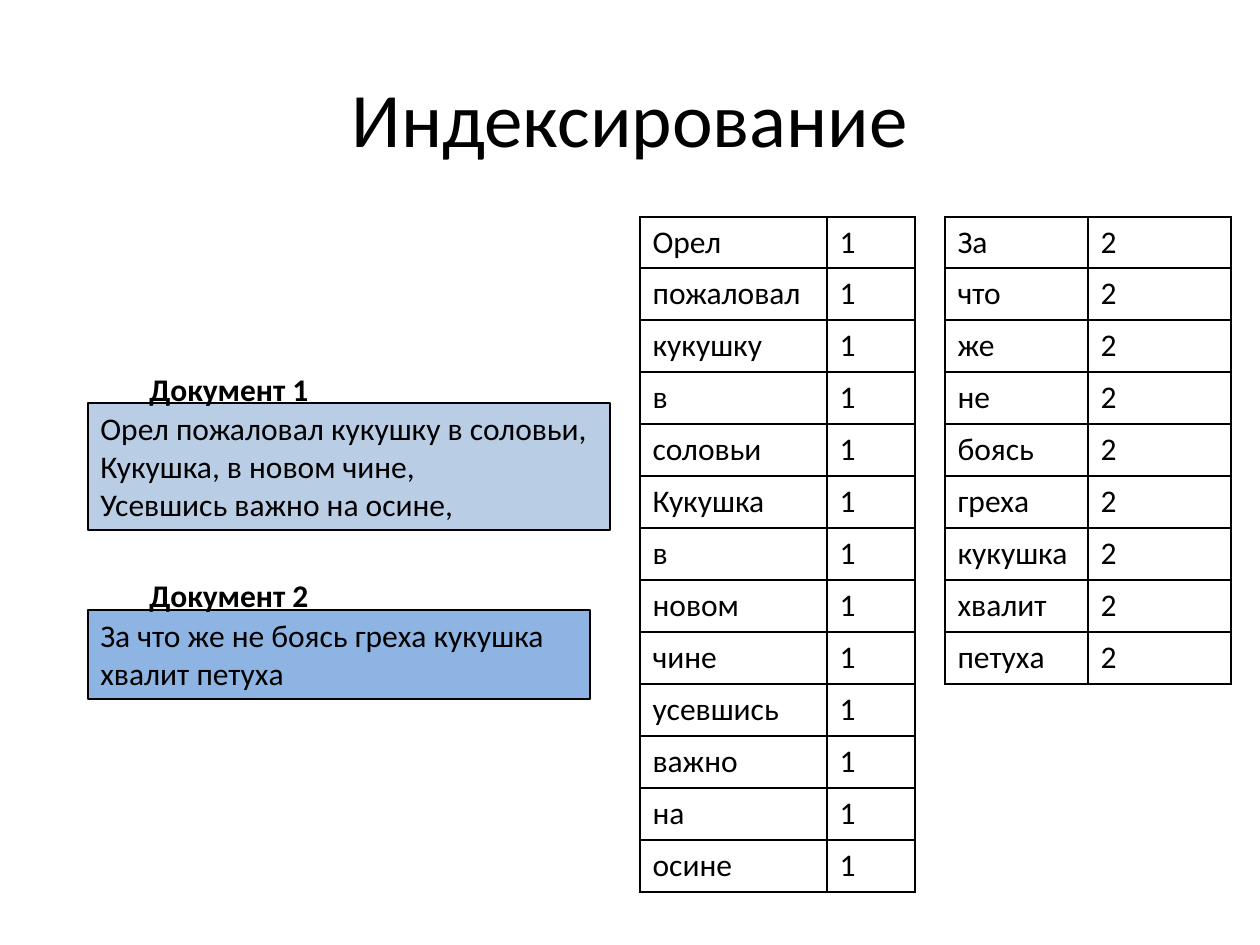
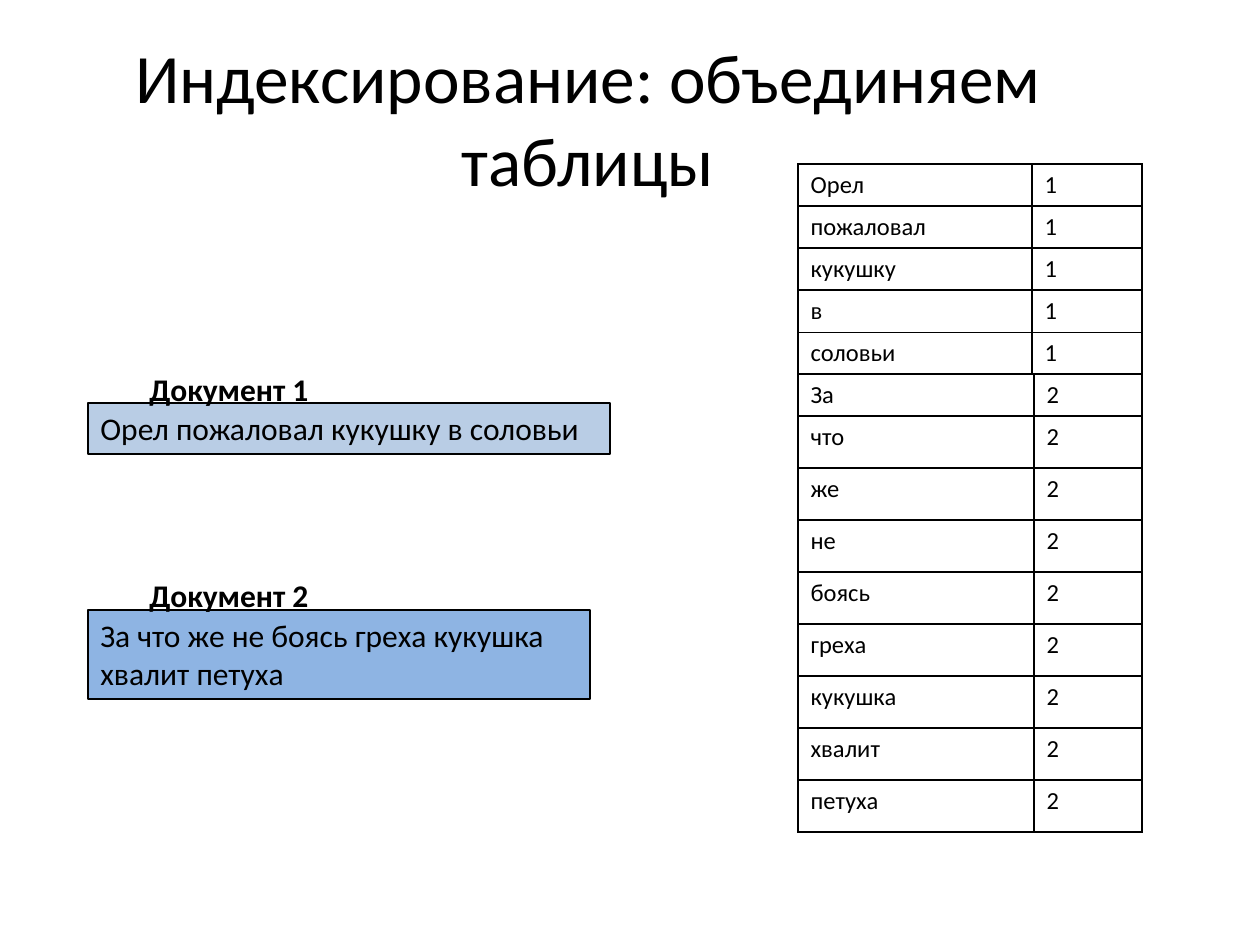
from dataclasses import dataclass
from typing import NamedTuple

from lxml.etree import SubElement
from pptx import Presentation
from pptx.dml.color import RGBColor
from pptx.enum.shapes import MSO_SHAPE
from pptx.enum.text import MSO_ANCHOR, MSO_AUTO_SIZE, PP_ALIGN
from pptx.oxml.ns import qn
from pptx.slide import Slide
from pptx.table import _Cell as Cell
from pptx.text.text import TextFrame
from pptx.util import Emu, Pt

PX_PER_INCH = 126
FONT = "Calibri"
BODY_SIZE = 18
BORDER_WIDTH = Pt(1)
COLORS = {
    "ink": "000000",
    "document_1": "B9CDE5",
    "document_2": "8EB4E3",
}


class Box(NamedTuple):
    left: int
    top: int
    width: int
    height: int


@dataclass(frozen=True)
class Document:
    label: str
    label_top: int
    excerpt: str
    box: Box
    color: str


@dataclass(frozen=True)
class IndexTable:
    """Words of one document, each listed beside the document number."""
    words: list[str]
    number: int
    left: int
    top: int
    columns: tuple[int, int]
    first_row: int
    row: int
    size: int = BODY_SIZE


@dataclass(frozen=True)
class IndexSlide:
    title: str
    title_width: int
    title_size: float
    tables: list[IndexTable]
    documents: list[Document]


EAGLE_WORDS = ["Орел", "пожаловал", "кукушку", "в", "соловьи"]
CUCKOO_WORDS = ["Кукушка", "в", "новом", "чине", "усевшись", "важно", "на", "осине"]
ROOSTER_WORDS = ["За", "что", "же", "не", "боясь", "греха", "кукушка", "хвалит", "петуха"]


def eagle_document(excerpt: str, height: int) -> Document:
    return Document("Документ 1", 364, excerpt, Box(88, 403, 522, height), "document_1")


ROOSTER_DOCUMENT = Document(
    "Документ 2", 570, "За что же не боясь греха кукушка хвалит петуха",
    Box(88, 610, 502, 89), "document_2",
)

SLIDES = [
    IndexSlide(
        "Индексирование", 1134, 44,
        [
            IndexTable(EAGLE_WORDS + CUCKOO_WORDS, 1, 640, 217, (187, 88), 51, 52),
            IndexTable(ROOSTER_WORDS, 2, 945, 217, (143, 143), 51, 52),
        ],
        [
            eagle_document(
                "Орел пожаловал кукушку в соловьи, Кукушка, в новом чине,\v"
                "Усевшись важно на осине,", 127),
            ROOSTER_DOCUMENT,
        ],
    ),
    IndexSlide(
        "Индексирование: объединяем таблицы", 1050, 39.6,
        [
            IndexTable(EAGLE_WORDS, 1, 798, 164, (234, 110), 42, 42, size=14),
            IndexTable(ROOSTER_WORDS, 2, 798, 374, (236, 108), 42, 52, size=14),
        ],
        [eagle_document("Орел пожаловал кукушку в соловьи", 51), ROOSTER_DOCUMENT],
    ),
]


def px(length: int) -> Emu:
    return Emu(round(length * 914400 / PX_PER_INCH))


def place(box: Box) -> list[Emu]:
    return [px(length) for length in box]


def rgb(name: str) -> RGBColor:
    return RGBColor.from_string(COLORS[name])


def write(frame: TextFrame, text: str, size: float = BODY_SIZE, bold: bool = False,
          align: PP_ALIGN = PP_ALIGN.LEFT) -> None:
    frame.text = text
    frame.word_wrap = True
    for paragraph in frame.paragraphs:
        paragraph.alignment = align
        for run in paragraph.runs:
            run.font.name = FONT
            run.font.size = Pt(size)
            run.font.bold = bold
            run.font.color.rgb = rgb("ink")


def add_title(slide: Slide, text: str, width: int, size: float) -> None:
    frame = slide.shapes.add_textbox(*place(Box(63, 38, width, 158))).text_frame
    write(frame, text, size, align=PP_ALIGN.CENTER)
    frame.vertical_anchor = MSO_ANCHOR.MIDDLE


def add_document(slide: Slide, document: Document) -> None:
    excerpt = slide.shapes.add_shape(MSO_SHAPE.RECTANGLE, *place(document.box))
    excerpt.shadow.inherit = False
    excerpt.fill.solid()
    excerpt.fill.fore_color.rgb = rgb(document.color)
    excerpt.line.color.rgb = rgb("ink")
    excerpt.line.width = Pt(0.75)
    write(excerpt.text_frame, document.excerpt)
    excerpt.text_frame.vertical_anchor = MSO_ANCHOR.TOP

    label = slide.shapes.add_textbox(*place(Box(137, document.label_top, 295, 51)))
    write(label.text_frame, document.label, bold=True)
    for frame in (excerpt.text_frame, label.text_frame):
        frame.auto_size = MSO_AUTO_SIZE.SHAPE_TO_FIT_TEXT


def outline(cell: Cell) -> None:
    """Draw all four borders of a cell and leave it without a fill."""
    properties = cell._tc.get_or_add_tcPr()
    for side in ("a:lnL", "a:lnR", "a:lnT", "a:lnB"):
        border = SubElement(properties, qn(side), w=str(BORDER_WIDTH))
        fill = SubElement(border, qn("a:solidFill"))
        SubElement(fill, qn("a:srgbClr"), val=COLORS["ink"])
    cell.fill.background()


def add_index_table(slide: Slide, index: IndexTable) -> None:
    heights = [index.first_row] + [index.row] * (len(index.words) - 1)
    box = Box(index.left, index.top, sum(index.columns), sum(heights))
    table = slide.shapes.add_table(len(heights), len(index.columns), *place(box)).table
    table.first_row = table.horz_banding = False
    for column, width in zip(table.columns, index.columns):
        column.width = px(width)
    for row, height, word in zip(table.rows, heights, index.words):
        row.height = px(height)
        for cell, text in zip(row.cells, (word, str(index.number))):
            write(cell.text_frame, text, index.size)
            outline(cell)


def main() -> None:
    deck = Presentation()
    deck.slide_width, deck.slide_height = px(1260), px(945)
    blank = deck.slide_layouts[6]
    for content in SLIDES:
        slide = deck.slides.add_slide(blank)
        add_title(slide, content.title, content.title_width, content.title_size)
        for index in content.tables:
            add_index_table(slide, index)
        for document in content.documents:
            add_document(slide, document)
    deck.save("out.pptx")


if __name__ == "__main__":
    main()
